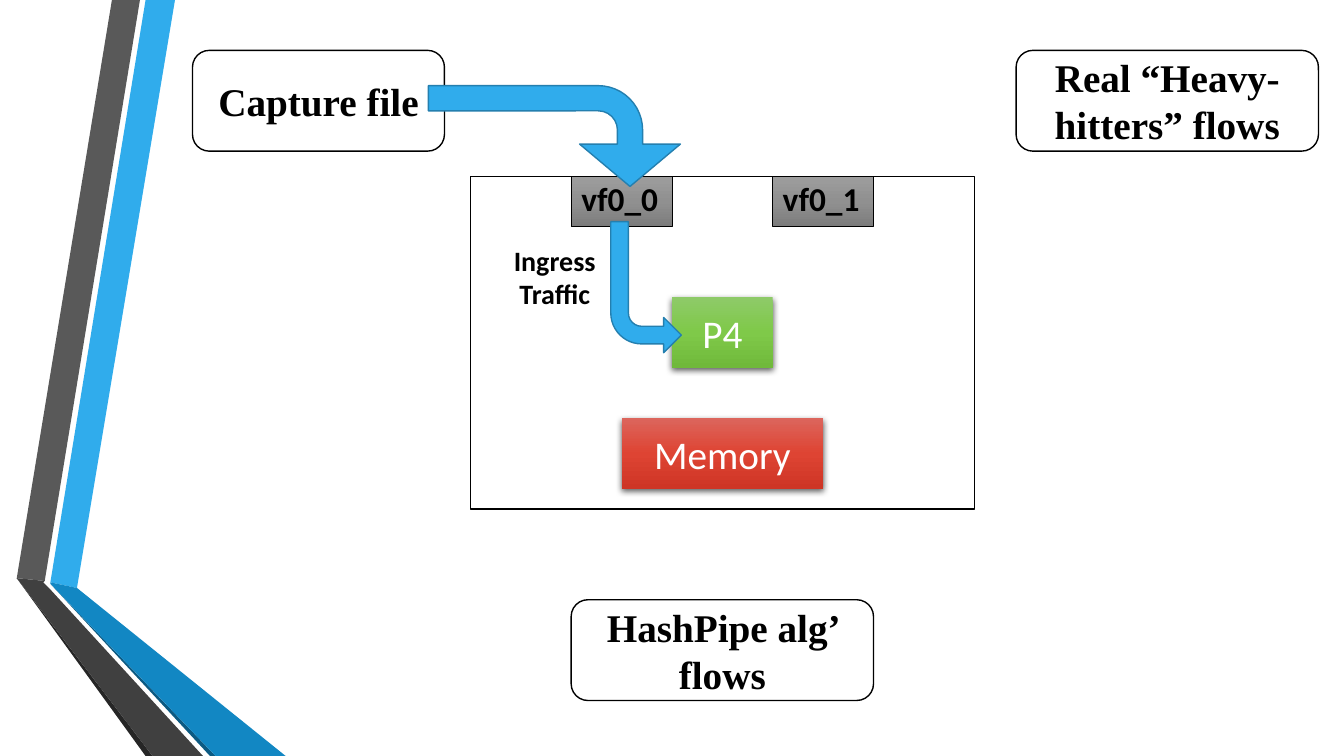
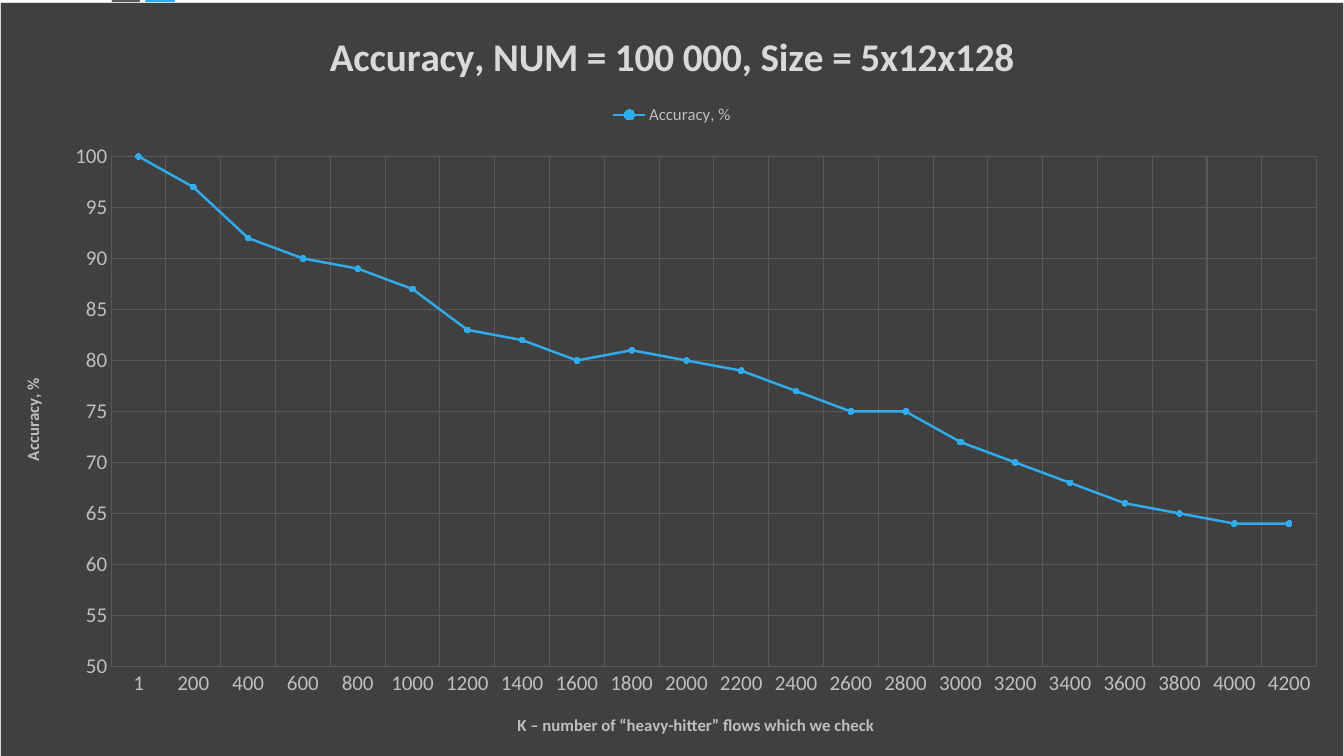
from copy import deepcopy

from pptx import Presentation
from pptx.chart import data
from pptx.dml.color import RGBColor
from pptx.enum import chart as ch, shapes as sh, text as tx
from pptx.oxml import parse_xml
from pptx.oxml.ns import nsdecls, qn
from pptx.util import Pt

BLACK, WHITE = RGBColor(0, 0, 0), RGBColor(255, 255, 255)
BLUE, RIM = RGBColor(0x30, 0xAC, 0xEC), RGBColor(0x24, 0x7F, 0xAF)
DEEP, NAVY = RGBColor(0x12, 0x87, 0xC3), RGBColor(0x0C, 0x5A, 0x82)
GRAY, DARK = RGBColor(0x59, 0x59, 0x59), RGBColor(0x40, 0x40, 0x40)
COAL = RGBColor(0x26, 0x26, 0x26)
SILVER, PALE = RGBColor(0xBF, 0xBF, 0xBF), RGBColor(0xD9, 0xD9, 0xD9)
STEEL = [RGBColor.from_string(c) for c in ("9D9D9D", "909090", "7C7C7C")]
GREEN = [RGBColor.from_string(c) for c in ("8ECA68", "7FC949", "70B93B")]
RED = [RGBColor.from_string(c) for c in ("DC655C", "DE4433", "CE3525")]
SANS, SERIF = "Calibri", "Times New Roman"


def paint(shape, fill, line=None, width=1):
    """Fill with one colour, or with a list of three shading downwards."""
    shape.shadow.inherit = False
    if isinstance(fill, list):
        shape.fill.gradient()
        shape.fill.gradient_angle = 270
        stops = shape.element.spPr.find(".//" + qn("a:gsLst"))
        stops.insert(1, deepcopy(stops[0]))
        for i, stop in enumerate(shape.fill.gradient_stops):
            stop.position = i / 2
            stop.color.rgb = fill[i]
    else:
        shape.fill.solid()
        shape.fill.fore_color.rgb = fill
    if line is None:
        shape.line.fill.background()
    else:
        shape.line.color.rgb = line
        shape.line.width = Pt(width)


def write(shape, words, size, face=SANS, color=BLACK, bold=True,
          align=tx.PP_ALIGN.CENTER):
    frame = shape.text_frame
    frame.text = words
    frame.vertical_anchor = tx.MSO_ANCHOR.MIDDLE
    for para in frame.paragraphs:
        para.alignment = align
        font = para.font
        font.name, font.size, font.bold = face, Pt(size), bold
        font.color.rgb = color


prs = Presentation()
prs.slide_width, prs.slide_height = Pt(960), Pt(540)
flow = prs.slides.add_slide(prs.slide_layouts[2])
graph = prs.slides.add_slide(prs.slide_layouts[6])

# Ribbon on the master, shared by both slides
RIBBON = [
    (BLUE, [(36, 416.2), (55.4, 419.8), (124.6, 0), (104.4, 0)]),
    (GRAY, [(100.1, 0), (79.9, 0), (11.5, 412.6), (31.7, 415.4)]),
    (COAL, [(11.5, 412.6), (104.4, 540), (108.7, 540)]),
    (NAVY, [(36, 416.9), (149.8, 540), (154.1, 540)]),
    (DEEP, [(36, 416.2), (36, 416.9), (154.1, 540), (203.8, 540),
            (55.4, 419.8)]),
    (DARK, [(145.4, 540), (34.6, 419.8), (31, 416.2), (31.7, 415.4),
            (11.5, 412.6), (108.7, 540)]),
]
tree = prs.slide_master.shapes.element
for i, (color, points) in enumerate(RIBBON):
    pen = flow.shapes.build_freeform(*points[0], scale=12700)
    pen.add_line_segments(points[1:], close=True)
    band = pen.convert_to_shape()
    paint(band, color)
    tree.insert(2 + i, band.element)

# Slide 1: card outline
add = flow.shapes.add_shape
kinds = sh.MSO_SHAPE
card = add(kinds.RECTANGLE, Pt(336), Pt(126), Pt(360), Pt(237.6))
paint(card, WHITE, BLACK)

# Ports
title, port = flow.placeholders
title.element.getparent().remove(title.element)
card.element.addnext(port.element)
port.left, port.top, port.width, port.height = Pt(408), Pt(126), Pt(72), Pt(36)
twin = add(kinds.RECTANGLE, Pt(552), Pt(126), Pt(72), Pt(36))
for shape, words in ((port, "vf0_0"), (twin, "vf0_1")):
    paint(shape, STEEL, BLACK, 0.5)
    write(shape, words, 23.8, align=tx.PP_ALIGN.LEFT)
    para = shape.text_frame.paragraphs[0]
    para.line_spacing = 0.8
    para.space_before, para.space_after = Pt(4.8), Pt(6)

# Chip blocks with a soft shadow
for words, fill, x, y, w in (("P4", GREEN, 480, 212.4, 72),
                             ("Memory", RED, 444, 298.8, 144)):
    block = add(kinds.RECTANGLE, Pt(x), Pt(y), Pt(w), Pt(50.4))
    paint(block, fill)
    write(block, words, 28, color=WHITE, bold=False)
    block.element.spPr.find(qn("a:effectLst")).append(parse_xml(
        f'<a:outerShdw {nsdecls("a")} blurRad="57150" dist="19050" '
        'dir="5400000" algn="ctr" rotWithShape="0"><a:srgbClr val="000000">'
        '<a:alpha val="63000"/></a:srgbClr></a:outerShdw>'))

# Flow boxes
for words, x, y, w in (("Capture file", 137.5, 36, 180),
                       ("Real “Heavy-hitters” flows", 725.8, 36, 216),
                       ("HashPipe alg’ flows", 408, 428.4, 216)):
    box = add(kinds.ROUNDED_RECTANGLE, Pt(x), Pt(y), Pt(w), Pt(72))
    paint(box, WHITE, BLACK)
    write(box, words, 28, SERIF)

# Bent arrows
inlet = add(kinds.BENT_ARROW, Pt(360), Pt(7.2), Pt(72), Pt(180))
inlet.rotation = 90
for i, value in enumerate((0.25, 0.5, 0.42, 0.44)):
    inlet.adjustments[i] = value
feed = add(kinds.BENT_ARROW, Pt(436.3), Pt(158.4), Pt(50.4), Pt(93.6))
feed.element.spPr.find(qn("a:xfrm")).set("flipV", "1")
for arrow in (inlet, feed):
    paint(arrow, BLUE, RIM)

label = flow.shapes.add_textbox(Pt(357.8), Pt(169.9), Pt(77), Pt(55.4))
write(label, "Ingress\nTraffic", 20)
label.text_frame.word_wrap = False

# Slide 2: accuracy chart
rates = data.CategoryChartData()
rates.categories = ["1"] + [str(k) for k in range(200, 4201, 200)]
rates.add_series("Accuracy, %", (
    100, 97, 92, 90, 89, 87, 83, 82, 80, 81, 80,
    79, 77, 75, 75, 72, 70, 68, 66, 65, 64, 64))
chart = graph.shapes.add_chart(ch.XL_CHART_TYPE.LINE_MARKERS, 0, Pt(1.4),
                               Pt(960), Pt(540), rates).chart
chart.font.name, chart.font.size = SANS, Pt(10)
chart.element.find(qn("c:chart")).addnext(parse_xml(
    f'<c:spPr {nsdecls("c", "a")}>'
    f'<a:solidFill><a:srgbClr val="{DARK}"/></a:solidFill>'
    f'<a:ln w="9525"><a:solidFill><a:srgbClr val="{PALE}"/></a:solidFill>'
    '</a:ln></c:spPr>'))

# Axes
cat, val = chart.category_axis, chart.value_axis
val.minimum_scale, val.maximum_scale, val.major_unit = 50, 100, 5
for axis in (cat, val):
    axis.has_major_gridlines = True
    grid = axis.major_gridlines.format.line
    grid.color.rgb, grid.width = GRAY, Pt(0.75)
    axis.major_tick_mark = axis.minor_tick_mark = ch.XL_TICK_MARK.NONE
    axis.format.line.fill.background()
    font = axis.tick_labels.font
    font.name, font.size, font.color.rgb = SANS, Pt(15), SILVER

# Titles and legend
for part, words, size, color in (
        (chart.chart_title, "Accuracy, NUM = 100 000, Size = 5x12x128", 28, PALE),
        (cat.axis_title, "K – number of “heavy-hitter” flows which we check",
         12, SILVER),
        (val.axis_title, "Accuracy, %", 12, SILVER)):
    part.text_frame.text = words
    font = part.text_frame.paragraphs[0].font
    font.name, font.size, font.bold = SANS, Pt(size), True
    font.color.rgb = color
chart.has_legend = True
key = chart.legend
key.position, key.include_in_layout = ch.XL_LEGEND_POSITION.TOP, False
key.font.name, key.font.size, key.font.color.rgb = SANS, Pt(12), SILVER

# Line and markers
chart.plots[0].vary_by_categories = False
line = chart.plots[0].series[0]
line.smooth = False
line.format.line.color.rgb, line.format.line.width = BLUE, Pt(1.75)
line.marker.style, line.marker.size = ch.XL_MARKER_STYLE.CIRCLE, 4
line.marker.format.fill.solid()
line.marker.format.fill.fore_color.rgb = BLUE
line.marker.format.line.fill.background()

prs.save("out.pptx")
